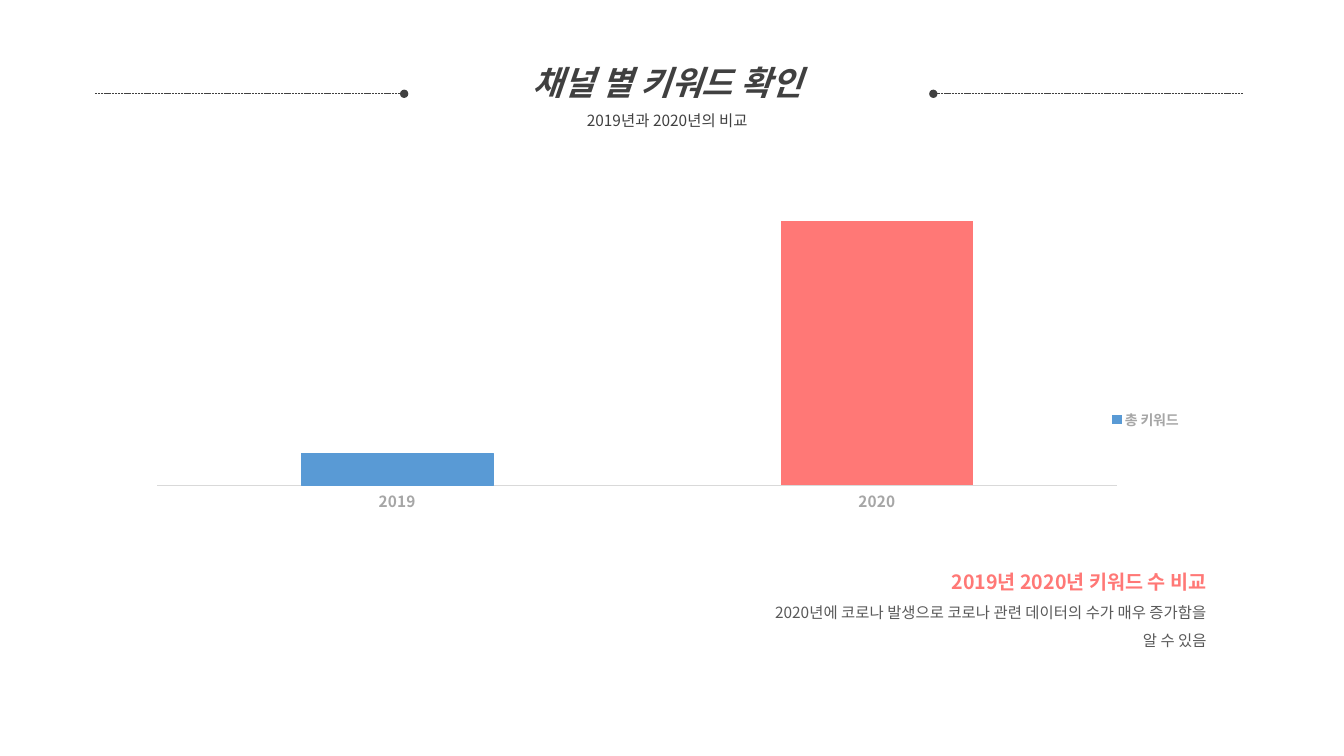
from lxml import etree
from pptx import Presentation
from pptx.chart.data import CategoryChartData
from pptx.dml.color import RGBColor
from pptx.enum.chart import XL_CHART_TYPE, XL_LEGEND_POSITION, XL_TICK_MARK
from pptx.enum.dml import MSO_LINE
from pptx.enum.shapes import MSO_CONNECTOR
from pptx.enum.text import MSO_AUTO_SIZE, PP_ALIGN
from pptx.oxml import parse_xml
from pptx.oxml.ns import nsdecls, qn
from pptx.util import Pt

COLUMN = XL_CHART_TYPE.COLUMN_CLUSTERED
RIGHT_SIDE = XL_LEGEND_POSITION.RIGHT
NO_TICK = XL_TICK_MARK.NONE
DASH = MSO_LINE.SQUARE_DOT
STRAIGHT = MSO_CONNECTOR.STRAIGHT
GROW = MSO_AUTO_SIZE.SHAPE_TO_FIT_TEXT
CENTER, RIGHT = PP_ALIGN.CENTER, PP_ALIGN.RIGHT

FACE = "Noto Sans CJK KR"
COLORS = {
    "dark": "404040", "body": "595959", "label": "A6A6A6",
    "axis": "D9D9D9", "blue": "599AD5", "coral": "FF7876",
}


def set_font(font, size, color, bold=False, italic=False):
    """Set face, size, colour and style of a font."""
    font.name, font.size = FACE, Pt(size)
    font.bold, font.italic = bold, italic
    font.color.rgb = RGBColor.from_string(COLORS[color])


def add_text(box, align, lines):
    """Add a text box with one styled run per paragraph."""
    frame = slide.shapes.add_textbox(*[Pt(n) for n in box]).text_frame
    frame.word_wrap = True
    frame.auto_size = GROW
    for i, (text, *style) in enumerate(lines):
        para = frame.add_paragraph() if i else frame.paragraphs[0]
        para.alignment, para.line_spacing = align, 1.5
        run = para.add_run()
        run.text = text
        set_font(run.font, *style)
        east = etree.SubElement(run.font._element, qn("a:ea"))
        east.set("typeface", FACE)


prs = Presentation()
prs.slide_width, prs.slide_height = Pt(960), Pt(540)
slide = prs.slides.add_slide(prs.slide_layouts[6])

# Keyword chart
data = CategoryChartData()
data.categories = ["2019", "2020"]
data.add_series("총 키워드", [12, 100])
chart = slide.shapes.add_chart(
    COLUMN, Pt(57.6), Pt(133.9), Pt(793.4), Pt(331.9), data).chart
chart.has_title = False
set_font(chart.font, 10, "axis")
chart.has_legend = True
chart.legend.position = RIGHT_SIDE
chart.legend.include_in_layout = False
set_font(chart.legend.font, 10, "label", True)

years = chart.category_axis
years.major_tick_mark = years.minor_tick_mark = NO_TICK
years.format.line.width = Pt(0.75)
years.format.line.color.rgb = RGBColor.from_string(COLORS["axis"])
set_font(years.tick_labels.font, 11, "label", True)
scale = chart.value_axis
scale.visible = scale.has_major_gridlines = False
scale.minimum_scale, scale.maximum_scale = 0, 105.5

plot = chart.plots[0]
plot.gap_width, plot.vary_by_categories = 150, False
bars = plot.series[0]
blue = RGBColor.from_string(COLORS["blue"])
bars.format.fill.solid()
bars.format.fill.fore_color.rgb = blue
bars.format.line.color.rgb = blue
bars.format.line.width = Pt(0.75)
peak = bars.points[1].format
peak.fill.solid()
peak.fill.fore_color.rgb = RGBColor.from_string(COLORS["coral"])
peak.line.fill.background()

# Inner plot area as fractions of the chart
area = chart._chartSpace.chart.plotArea
for old in area.findall(qn("c:layout")):
    area.remove(old)
parts = [("layoutTarget", "inner"), ("xMode", "edge"), ("yMode", "edge"),
         ("x", 0.069), ("y", 0.04), ("w", 0.864), ("h", 0.601)]
inner = "".join(f'<c:{tag} val="{val}"/>' for tag, val in parts)
area.insert(0, parse_xml(
    f'<c:layout {nsdecls("c")}><c:manualLayout>{inner}'
    '</c:manualLayout></c:layout>'))

# Dotted rules beside the title
for start, end in [(67.9, 288.7), (887.8, 666.7)]:
    rule = slide.shapes.add_connector(
        STRAIGHT, Pt(start), Pt(67), Pt(end), Pt(67))
    rule.line.width = Pt(0.5)
    rule.line.color.rgb = RGBColor.from_string(COLORS["dark"])
    rule.line.dash_style = DASH
    tail = etree.SubElement(rule.line._get_or_add_ln(), qn("a:tailEnd"))
    tail.set("type", "oval")
    etree.SubElement(rule._element.spPr, qn("a:effectLst"))

add_text((290.9, 25.9, 371.5, 70.6), CENTER, [
    ("채널 별 키워드 확인", 24, "dark", True, True),
    ("2019년과 2020년의 비교", 11, "dark"),
])
add_text((508.3, 395.3, 360.7, 72.7), RIGHT, [
    ("2019년 2020년 키워드 수 비교", 14, "coral", True),
    ("2020년에 코로나 발생으로 코로나 관련 데이터의 수가 매우 증가함을",
     11, "body"),
    ("알 수 있음", 11, "body"),
])

prs.save("out.pptx")
